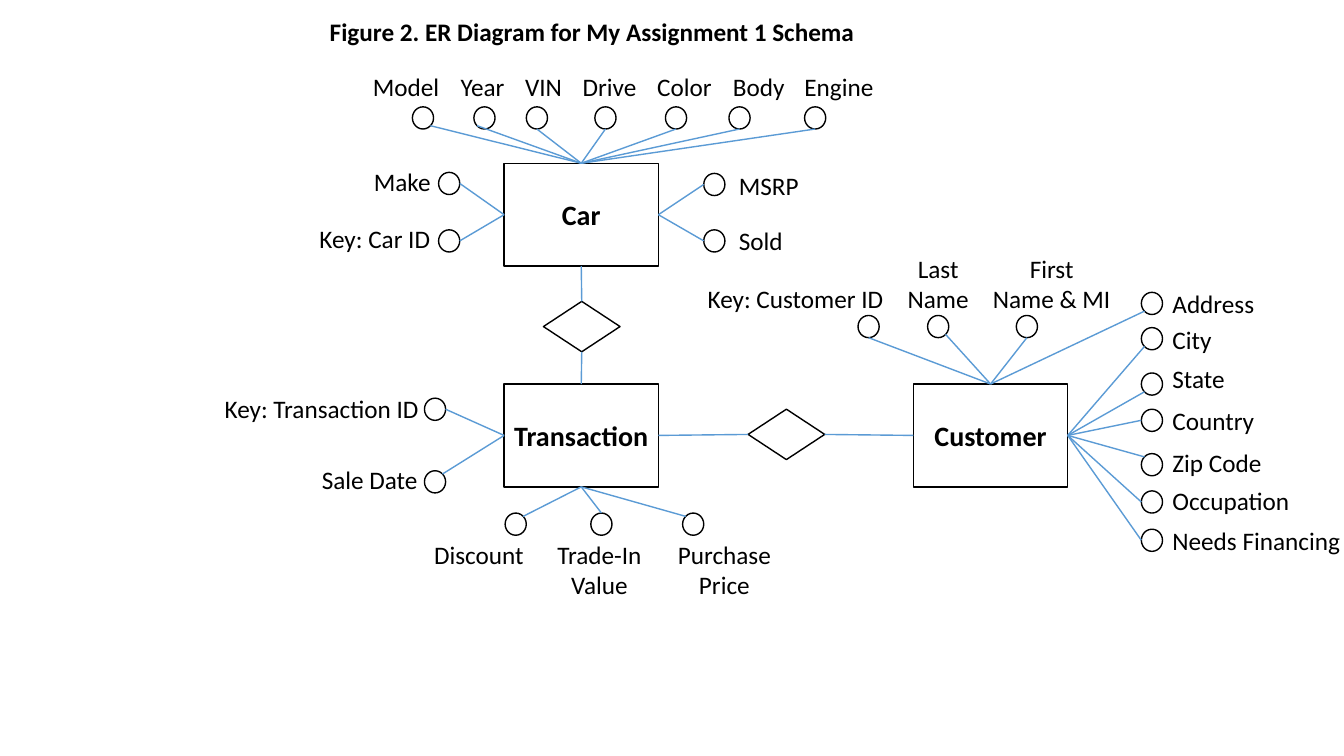
from lxml import etree
from pptx import Presentation
from pptx.dml.color import RGBColor
from pptx.enum.shapes import MSO_CONNECTOR, MSO_SHAPE
from pptx.enum.text import MSO_ANCHOR, PP_ALIGN
from pptx.oxml.ns import qn
from pptx.util import Inches, Pt

BLACK = RGBColor(0x00, 0x00, 0x00)
BLUE = RGBColor(0x5B, 0x9B, 0xD5)
LEFT, CENTER, RIGHT = PP_ALIGN.LEFT, PP_ALIGN.CENTER, PP_ALIGN.RIGHT
TOP_ANCHOR, MIDDLE_ANCHOR = MSO_ANCHOR.TOP, MSO_ANCHOR.MIDDLE
RECT, DIAMOND, OVAL = MSO_SHAPE.RECTANGLE, MSO_SHAPE.DIAMOND, MSO_SHAPE.OVAL
STRAIGHT = MSO_CONNECTOR.STRAIGHT
TOP_SIDE, LEFT_SIDE, BOTTOM_SIDE, RIGHT_SIDE = range(4)

# Points on an attribute circle, as fractions of its width and height
RIM = {"N": (0.5, 0), "S": (0.5, 1), "W": (0, 0.5), "E": (1, 0.5),
       "NW": (0.15, 0.15), "NE": (0.85, 0.15),
       "SW": (0.15, 0.85), "SE": (0.85, 0.85)}
CIRCLE_W, CIRCLE_H = 0.21, 0.22

ENTITIES = {"Car": (5, 1.62), "Transaction": (5, 3.81), "Customer": (9.06, 3.81)}

# Entity, side, label alignment, then rows of:
# label, label left, top and width, circle left and top, rim point
ATTRIBUTES = [
    ("Car", TOP_SIDE, LEFT, [
        ("Model", 3.6, 0.66, 0.87, 4.09, 1.06, "SE"),
        ("Year", 4.47, 0.66, 0.64, 4.7, 1.06, "SW"),
        ("VIN", 5.11, 0.66, 0.57, 5.22, 1.06, "S"),
        ("Drive", 5.68, 0.66, 0.74, 5.9, 1.06, "S"),
        ("Color", 6.42, 0.66, 0.75, 6.6, 1.06, "S"),
        ("Body", 7.17, 0.66, 0.72, 7.23, 1.06, "S"),
        ("Engine", 7.88, 0.66, 0.89, 7.98, 1.06, "S")]),
    ("Car", LEFT_SIDE, LEFT, [
        ("Make", 3.61, 1.6, 0.77, 4.35, 1.71, "E"),
        ("Key: Car ID", 3.07, 2.17, 1.31, 4.35, 2.28, "E")]),
    ("Car", RIGHT_SIDE, LEFT, [
        ("MSRP", 7.23, 1.64, 0.8, 6.98, 1.72, "W"),
        ("Sold", 7.23, 2.19, 0.64, 6.98, 2.28, "W")]),
    ("Transaction", LEFT_SIDE, RIGHT, [
        ("Key: Transaction ID", 2.1, 3.85, 2.15, 4.21, 3.95, "E"),
        ("Sale Date", 3.08, 4.56, 1.16, 4.21, 4.67, "NE")]),
    ("Transaction", BOTTOM_SIDE, CENTER, [
        ("Discount", 4.2, 5.3, 1.1, 5.01, 5.09, "NE"),
        ("Trade-In\nValue", 5.42, 5.3, 1.05, 5.86, 5.09, "N"),
        ("Purchase\nPrice", 6.62, 5.3, 1.13, 6.77, 5.09, "NW")]),
    ("Customer", TOP_SIDE, CENTER, [
        ("Key: Customer ID", 6.91, 2.76, 1.96, 8.51, 3.13, "S"),
        ("Last\nName", 8.9, 2.46, 0.81, 9.2, 3.13, "SE"),
        ("First\nName & MI", 9.74, 2.46, 1.38, 10.08, 3.13, "S")]),
    ("Customer", TOP_SIDE, LEFT, [
        ("Address", 11.53, 2.81, 1.02, 11.32, 2.9, "SW")]),
    ("Customer", RIGHT_SIDE, LEFT, [
        ("City", 11.53, 3.17, 0.59, 11.32, 3.25, "SW"),
        ("State", 11.53, 3.56, 0.72, 11.32, 3.7, "SW"),
        ("Country", 11.53, 3.97, 1.02, 11.32, 4.06, "W"),
        ("Zip Code", 11.53, 4.39, 1.1, 11.32, 4.5, "NW"),
        ("Occupation", 11.53, 4.77, 1.38, 11.32, 4.87, "W"),
        ("Needs Financing", 11.53, 5.16, 1.88, 11.32, 5.25, "W")]),
]

# First entity and side, diamond left and top, second entity and side
RELATIONSHIPS = [
    ("Car", BOTTOM_SIDE, 5.39, 2.99, "Transaction", TOP_SIDE),
    ("Transaction", RIGHT_SIDE, 7.42, 4.06, "Customer", LEFT_SIDE),
]


class ERDiagram:
    font = "Calibri"
    line_width = Pt(1)

    def __init__(self, slide):
        self.slide = slide
        self.entities = {}

    def add_text(self, tf, text, size=18, bold=False, align=LEFT):
        tf.word_wrap = False
        for i, line in enumerate(text.split("\n")):
            p = tf.add_paragraph() if i else tf.paragraphs[0]
            p.alignment = align
            r = p.add_run()
            r.text = line
            r.font.name = self.font
            r.font.size = Pt(size)
            r.font.bold = bold
            r.font.color.rgb = BLACK

    def title(self, text, left, top, width, height):
        sp = self.slide.shapes.title
        sp.left, sp.top = Inches(left), Inches(top)
        sp.width, sp.height = Inches(width), Inches(height)
        sp.text_frame.vertical_anchor = TOP_ANCHOR
        self.add_text(sp.text_frame, text, bold=True)

    def outline(self, kind, left, top, width, height):
        sp = self.slide.shapes.add_shape(
            kind, Inches(left), Inches(top), Inches(width), Inches(height))
        sp.shadow.inherit = False
        sp.fill.background()
        sp.line.color.rgb = BLACK
        sp.line.width = self.line_width
        return sp

    def entity(self, name, left, top):
        sp = self.outline(RECT, left, top, 1.53, 1.02)
        sp.text_frame.vertical_anchor = MIDDLE_ANCHOR
        self.add_text(sp.text_frame, name, size=20, bold=True, align=CENTER)
        self.entities[name] = sp

    def connector(self, sp, side, x=0, y=0):
        """Draw a line from a side of sp to the point x, y."""
        line = self.slide.shapes.add_connector(STRAIGHT, 0, 0, Inches(x), Inches(y))
        line.begin_connect(sp, side)
        line.line.color.rgb = BLUE
        line.line.width = self.line_width
        etree.SubElement(line._element.spPr, qn("a:effectLst"))
        return line

    def relationship(self, first, first_side, left, top, second, second_side):
        diamond = self.outline(DIAMOND, left, top, 0.76, 0.5)
        for name, side in ((first, first_side), (second, second_side)):
            facing = (side + 2) % 4
            self.connector(self.entities[name], side).end_connect(diamond, facing)

    def label(self, text, left, top, width, align):
        height = 0.4 + 0.31 * text.count("\n")
        box = self.slide.shapes.add_textbox(
            Inches(left), Inches(top), Inches(width), Inches(height))
        self.add_text(box.text_frame, text, align=align)

    def attribute(self, entity, side, align, row):
        text, left, top, width, circle_x, circle_y, rim = row
        self.label(text, left, top, width, align)
        self.outline(OVAL, circle_x, circle_y, CIRCLE_W, CIRCLE_H)
        fx, fy = RIM[rim]
        self.connector(self.entities[entity], side,
                       circle_x + fx * CIRCLE_W, circle_y + fy * CIRCLE_H)


def main():
    prs = Presentation()
    prs.slide_width, prs.slide_height = Inches(13.33), Inches(7.5)
    diagram = ERDiagram(prs.slides.add_slide(prs.slide_layouts[5]))
    diagram.title("Figure 2. ER Diagram for My Assignment 1 Schema",
                  3.17, 0.11, 5.41, 0.4)
    for name, (left, top) in ENTITIES.items():
        diagram.entity(name, left, top)
    for relationship in RELATIONSHIPS:
        diagram.relationship(*relationship)
    for entity, side, align, rows in ATTRIBUTES:
        for row in rows:
            diagram.attribute(entity, side, align, row)
    prs.save("out.pptx")


if __name__ == "__main__":
    main()
